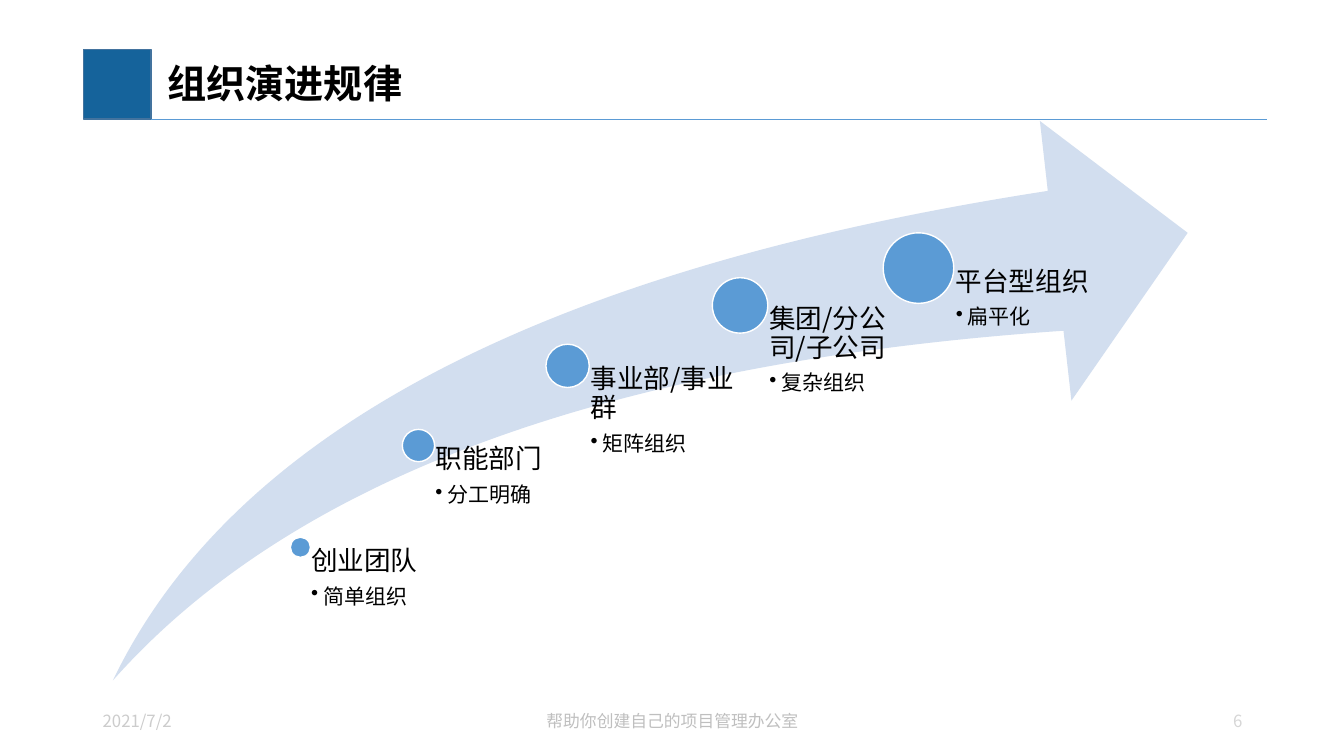
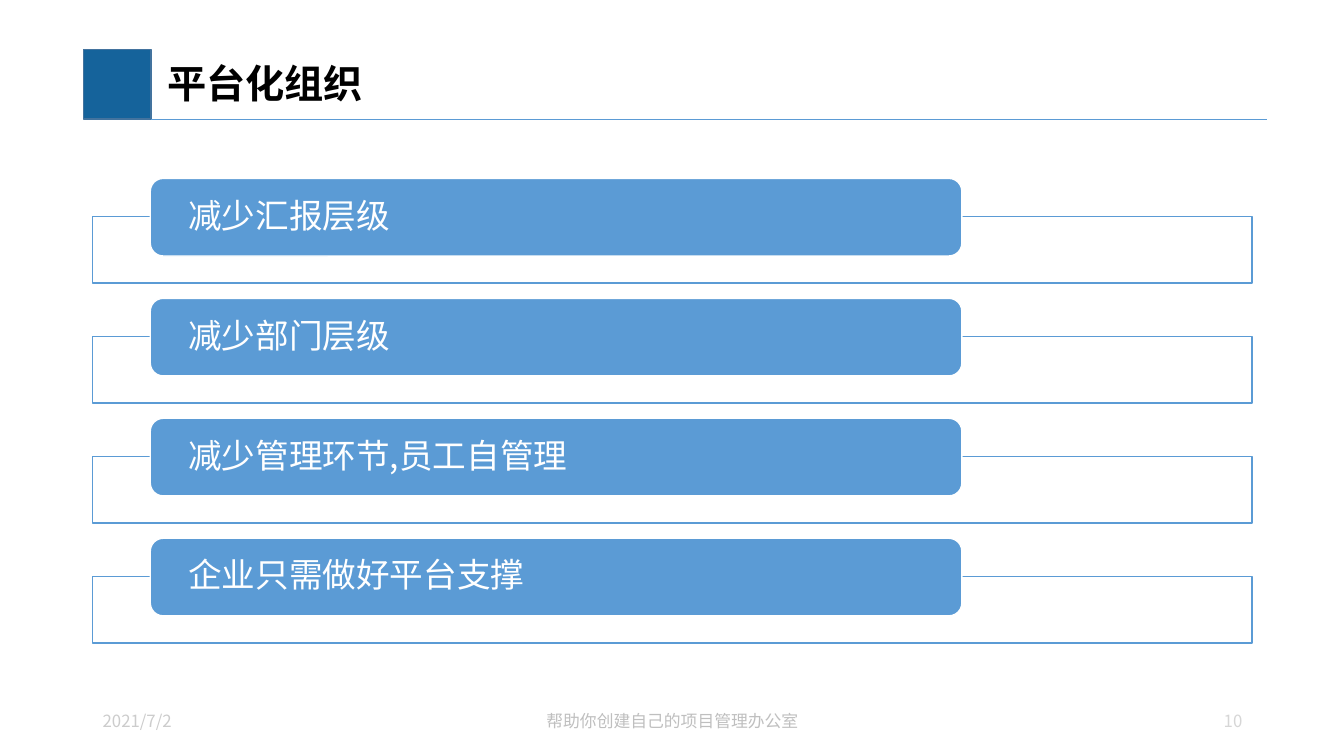
from dataclasses import dataclass
from lxml.etree import SubElement
from pptx import Presentation
from pptx.dml.color import RGBColor
from pptx.enum.shapes import MSO_CONNECTOR as Link, MSO_SHAPE as Shape
from pptx.enum.text import MSO_ANCHOR as Anchor, PP_ALIGN as Align
from pptx.oxml.ns import qn
from pptx.util import Inches, Pt

STAGES = [
    ("创业团队", "简单组织", 2.98, 5.43, 0.2, 1.18),
    ("职能部门", "分工明确", 4.15, 4.42, 0.32, 1.47),
    ("事业部/事业群", "矩阵组织", 5.63, 3.63, 0.43, 1.71),
    ("集团/分公司/子公司", "复杂组织", 7.34, 3.03, 0.55, 1.77),
    ("平台型组织", "扁平化", 9.11, 2.66, 0.7, 1.77),
]
POINTS = ["减少汇报层级", "减少部门层级", "减少管理环节,员工自管理".replace(",", ","), "企业只需做好平台支撑"]
DATE = "2021/7/2"
MOTTO = "帮助你创建自己的项目管理办公室"


@dataclass(frozen=True)
class Theme:
    font: str = "Noto Sans CJK SC"
    ink: str = "000000"
    paper: str = "FFFFFF"
    navy: str = "15639B"
    edge: str = "43739E"
    blue: str = "5B9BD5"
    pale: str = "D2DEEF"
    date: str = "CCCCCC"
    motto: str = "BFBFBF"
    page: str = "D6D6D6"
    title: float = 28
    bar: float = 24
    stage: float = 19
    note: float = 15
    foot: float = 12


T = Theme()


def rgb(code):
    return RGBColor.from_string(code)


def style(para, size, color, bold=False, align=Align.LEFT, space=None, after=0):
    para.alignment = align
    if space:
        para.line_spacing = space
    para.space_before = Pt(0)
    para.space_after = Pt(after)
    for run in para.runs:
        font = run.font
        font.size, font.bold, font.name = Pt(size), bold, T.font
        font.color.rgb = rgb(color)
        SubElement(font._element, qn("a:ea")).set("typeface", T.font)


def frame(shape, inset, anchor):
    text = shape.text_frame
    text.word_wrap = True
    text.vertical_anchor = anchor
    text.margin_left, text.margin_top, text.margin_right, text.margin_bottom = map(Inches, inset)
    return text


def block(slide, kind, box, fill, line=None):
    shape = slide.shapes.add_shape(kind, *map(Inches, box))
    shape.shadow.inherit = False
    shape.fill.solid()
    shape.fill.fore_color.rgb = rgb(fill)
    if line:
        shape.line.color.rgb = rgb(line)
        shape.line.width = Pt(1)
    else:
        shape.line.fill.background()
    return shape


def label(slide, box, inset, anchor):
    return frame(slide.shapes.add_textbox(*map(Inches, box)), inset, anchor)


def start(deck, title, page):
    slide = deck.slides.add_slide(deck.slide_layouts[5])
    block(slide, Shape.RECTANGLE, (0.83, 0.49, 0.67, 0.69), T.navy, T.edge)
    rule = slide.shapes.add_connector(Link.STRAIGHT, *map(Inches, (1.5, 1.18, 12.57, 1.18)))
    rule.line.color.rgb = rgb(T.blue)
    rule.line.width = Pt(0.5)
    SubElement(rule._element.spPr, qn("a:effectLst"))

    head = slide.shapes.title
    head.left, head.top, head.width, head.height = map(Inches, (1.5, 0.5, 10.92, 0.7))
    text = frame(head, (0.16, 0.05, 0.1, 0.05), Anchor.MIDDLE)
    text.text = title
    style(text.paragraphs[0], T.title, T.ink, bold=True, space=0.9)

    feet = [
        (DATE, (0.92, 6.95, 3, 0.4), T.date, Align.LEFT),
        (MOTTO, (4.42, 6.95, 4.5, 0.4), T.motto, Align.CENTER),
        (str(page), (9.33, 6.94, 3.09, 0.42), T.page, Align.RIGHT),
    ]
    for words, box, color, align in feet:
        text = label(slide, box, (0.1, 0.05, 0.1, 0.05), Anchor.MIDDLE)
        text.text = words
        style(text.paragraphs[0], T.foot, color, align=align)
    return slide


def growth(deck):
    slide = start(deck, "组织演进规律", 6)
    swoosh = block(slide, Shape.SWOOSH_ARROW, (1.12, 1.2, 10.66, 5.55), T.pale)
    swoosh.adjustments[0] = swoosh.adjustments[1] = 0.25
    base = 6.75
    for name, note, x, y, size, width in STAGES:
        block(slide, Shape.OVAL, (x - size / 2, y - size / 2, size, size), T.blue, T.paper)
        text = label(slide, (x, y, width, base - y), (size * 0.53, 0, 0, 0), Anchor.TOP)
        text.text = name
        style(text.paragraphs[0], T.stage, T.ink, space=0.9, after=7)
        item = text.add_paragraph()
        item.text = note
        item.level = 1
        style(item, T.note, T.ink, space=0.9, after=2)
        props = item._p.get_or_add_pPr()
        props.set("marL", str(Inches(0.12)))
        props.set("indent", str(Inches(-0.12)))
        SubElement(props, qn("a:buChar")).set("char", "•")


def platform(deck):
    slide = start(deck, "平台化组织", 10)
    top, step = 1.77, 1.19
    for row, words in enumerate(POINTS):
        y = top + row * step
        block(slide, Shape.RECTANGLE, (0.92, y + 0.38, 11.5, 0.66), T.paper, T.blue)
        bar = block(slide, Shape.ROUNDED_RECTANGLE, (1.49, y, 8.05, 0.77), T.blue, T.paper)
        text = frame(bar, (0.34, 0.04, 0.34, 0.04), Anchor.MIDDLE)
        text.text = words
        style(text.paragraphs[0], T.bar, T.paper, space=0.9)


deck = Presentation()
deck.slide_width, deck.slide_height = Inches(13.33), Inches(7.5)
growth(deck)
platform(deck)
deck.save("out.pptx")
